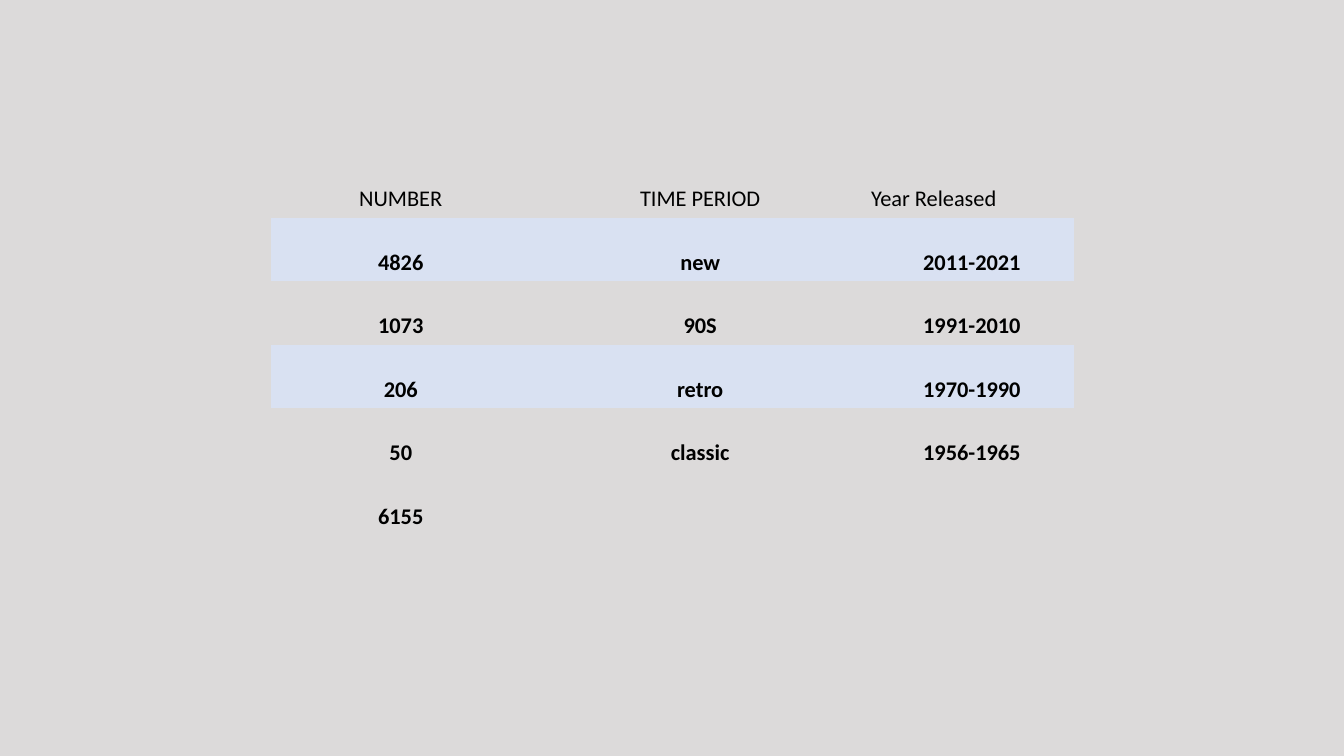
from dataclasses import dataclass

from pptx import Presentation
from pptx import util as u
from pptx.dml.color import RGBColor
from pptx.enum import text


# Colours and type
@dataclass(frozen=True)
class Theme:
    background: str = "DCDADA"
    band: str = "D9E1F2"
    ink: str = "000000"
    font: str = "Calibri"
    table_size: int = 16
    plain_table_style: str = "{2D5ABB26-0587-4C30-8999-92F81FD0307C}"


class SlideBuilder:
    def __init__(self, slide, theme):
        self.slide = slide
        self.theme = theme

    def background(self):
        fill = self.slide.background.fill
        fill.solid()
        fill.fore_color.rgb = RGBColor.from_string(self.theme.background)

    def table(self, rows, left, top, column_widths, row_height):
        frame = self.slide.shapes.add_table(
            len(rows), len(column_widths), u.Inches(left), u.Inches(top),
            u.Inches(sum(column_widths)), u.Inches(row_height * len(rows)))
        frame.element.xpath(".//a:tableStyleId")[0].text = self.theme.plain_table_style
        table = frame.table
        table.horz_banding = False
        for column, width in zip(table.columns, column_widths):
            column.width = u.Inches(width)
        for row_index, values in enumerate(rows):
            table.rows[row_index].height = u.Inches(row_height)
            for column_index, value in enumerate(values):
                self.cell(table.cell(row_index, column_index), value,
                          header=row_index == 0, banded=row_index in (1, 3))
        return table

    def cell(self, cell, value, header, banded):
        formats = {
            "margin_left": u.Inches(0.01),
            "margin_right": u.Inches(0.01),
            "margin_top": u.Inches(0.01),
            "margin_bottom": u.Inches(0.05),
            "vertical_anchor": text.MSO_ANCHOR.BOTTOM,
        }
        for name, setting in formats.items():
            setattr(cell, name, setting)
        if banded:
            cell.fill.solid()
            cell.fill.fore_color.rgb = RGBColor.from_string(self.theme.band)
        else:
            cell.fill.background()
        if not value:
            return
        paragraph = cell.text_frame.paragraphs[0]
        paragraph.alignment = text.PP_ALIGN.CENTER
        run = paragraph.add_run()
        run.text = value
        font_formats = {
            "name": self.theme.font,
            "size": u.Pt(self.theme.table_size),
            "bold": not header,
        }
        for name, setting in font_formats.items():
            setattr(run.font, name, setting)
        run.font.color.rgb = RGBColor.from_string(self.theme.ink)


def main():
    presentation = Presentation()
    presentation.slide_width = u.Inches(13.33)
    presentation.slide_height = u.Inches(7.5)
    blank_layout = presentation.slide_layouts.get_by_name("Blank")
    builder = SlideBuilder(presentation.slides.add_slide(blank_layout), Theme())
    builder.background()

    # Time period table
    periods = [
        ("NUMBER", "TIME PERIOD", "Year Released"),
        ("4826", "new", "2011-2021"),
        ("1073", "90S", "1991-2010"),
        ("206", "retro", "1970-1990"),
        ("50", "classic", "1956-1965"),
        ("6155", "", ""),
    ]
    table = builder.table(periods, left=2.69, top=1.53,
                          column_widths=(2.57, 3.37, 2.02), row_height=0.63)

    # Left-aligned last heading
    year_heading = table.cell(0, 2).text_frame.paragraphs[0]
    year_heading.alignment = text.PP_ALIGN.LEFT

    presentation.save("out.pptx")


if __name__ == "__main__":
    main()
